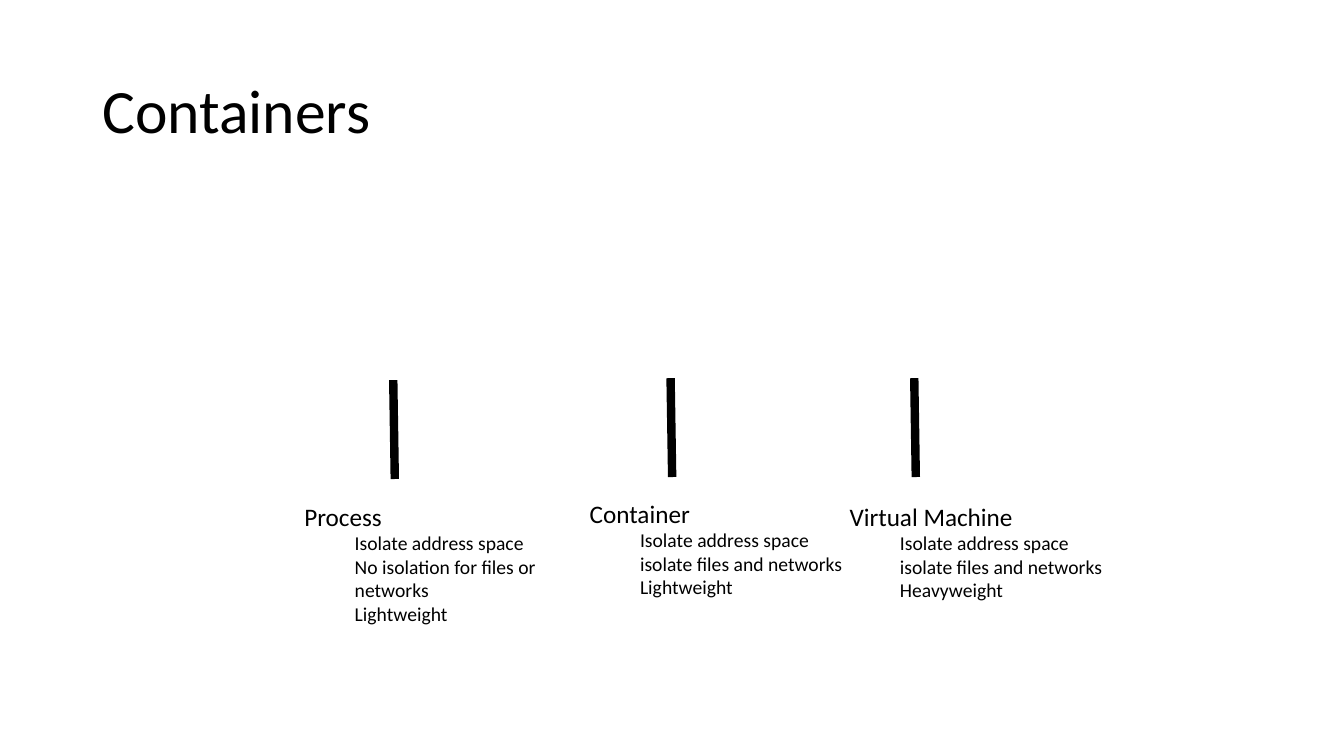
from pptx import Presentation
from pptx import util as u
from pptx.dml.color import RGBColor
from pptx.enum import shapes, text
from lxml import etree

FONT, INK = "Calibri", "000000"
TITLE = "Containers"
# name, traits, text left and top, bar left and top (cm)
KINDS = [
    ("Process",
     ["Isolate address space", "No isolation for files or networks", "Lightweight"],
     (7.42, 12.5), (9.91, 9.58)),
    ("Container",
     ["Isolate address space", "isolate files and networks", "Lightweight"],
     (14.61, 12.42), (16.9, 9.53)),
    ("Virtual Machine",
     ["Isolate address space", "isolate files and networks", "Heavyweight"],
     (21.16, 12.5), (23.04, 9.53)),
]
TEXT_W, TEXT_H = 7.19, 2.82
LEAN, DROP = 0.04, 2.49  # each bar tilts slightly to the right


def color(code):
    """Turn a hex string into a colour."""
    return RGBColor.from_string(code)


def add_box(slide, x, y, w, h):
    """Add a wrapping text box and return its text frame."""
    frame = slide.shapes.add_textbox(u.Cm(x), u.Cm(y), u.Cm(w), u.Cm(h)).text_frame
    frame.word_wrap = True
    return frame


def style(para, size):
    """Set the font of a paragraph."""
    para.font.name = FONT
    para.font.size = u.Pt(size)
    para.font.color.rgb = color(INK)


def add_bar(slide, x, y):
    """Draw a thick, nearly upright line."""
    bar = slide.shapes.add_connector(
        shapes.MSO_CONNECTOR.STRAIGHT,
        u.Cm(x), u.Cm(y), u.Cm(x + LEAN), u.Cm(y + DROP))
    bar.line.color.rgb = color(INK)
    bar.line.width = u.Pt(6)
    props = bar.element.spPr
    etree.SubElement(
        props, "{http://schemas.openxmlformats.org/drawingml/2006/main}effectLst")


def add_kind(slide, name, traits, spot):
    """Write a name with its indented traits."""
    frame = add_box(slide, *spot, TEXT_W, TEXT_H)
    frame.auto_size = text.MSO_AUTO_SIZE.SHAPE_TO_FIT_TEXT
    head = frame.paragraphs[0]
    head.text = name
    style(head, 18)
    for trait in traits:
        para = frame.add_paragraph()
        para.text = trait
        para.level = 1
        style(para, 14)


deck = Presentation()
deck.slide_width, deck.slide_height = u.Cm(33.87), u.Cm(19.05)
slide = deck.slides.add_slide(deck.slide_layouts[6])

frame = add_box(slide, 2.33, 1.02, 29.21, 3.68)
frame.vertical_anchor = text.MSO_ANCHOR.MIDDLE
title = frame.paragraphs[0]
title.text = TITLE
title.line_spacing = 0.9
style(title, 44)

for name, traits, spot, bar in KINDS:
    add_bar(slide, *bar)
    add_kind(slide, name, traits, spot)

deck.save("out.pptx")
